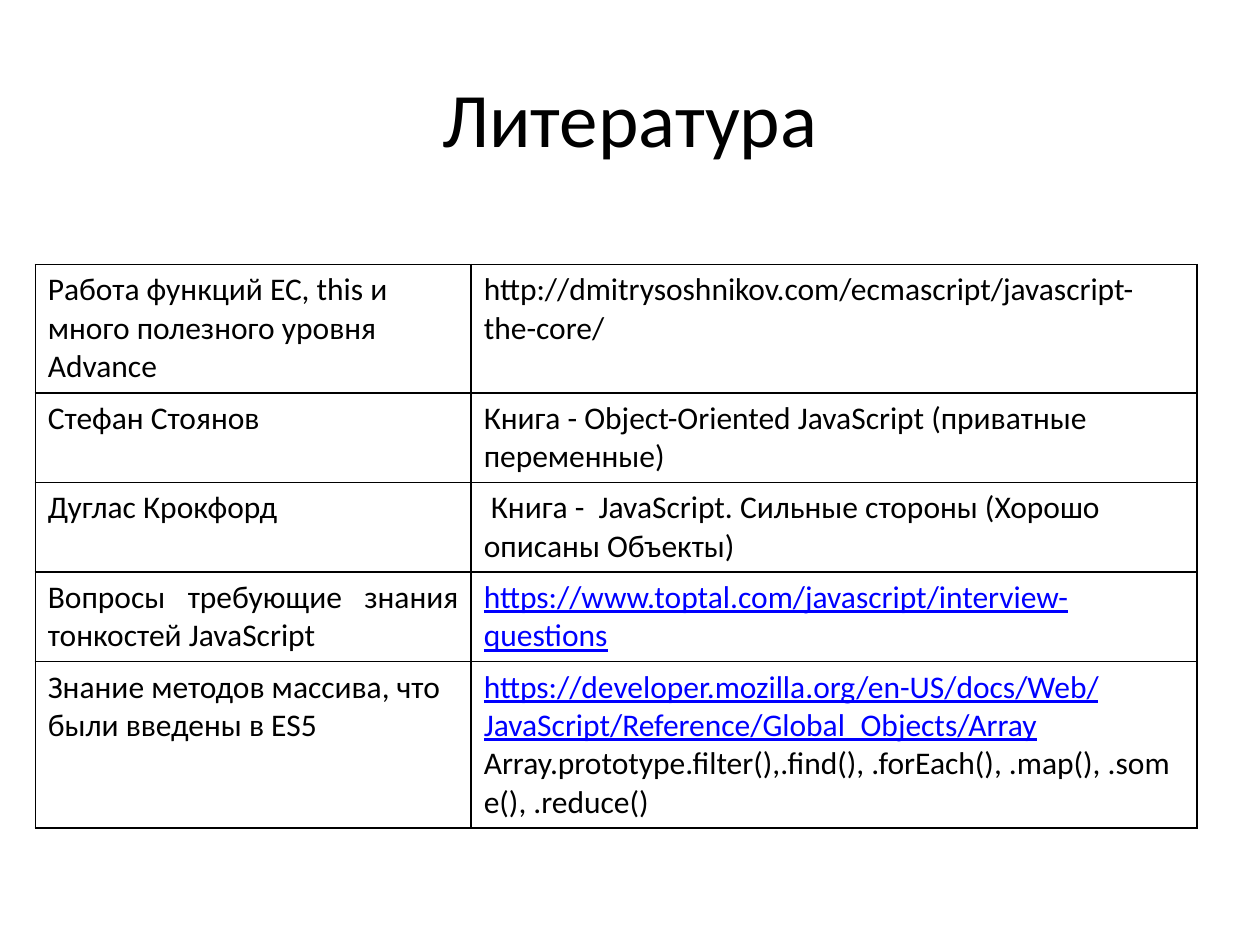
from lxml import etree
from pptx import Presentation
from pptx import util as u
from pptx.dml import color
from pptx.enum import text
from pptx.oxml import ns

FONT = "Calibri"
BLACK = "000000"
LINK = "0000FF"
COLUMNS = [3.46, 5.76]
ROWS = [1.02, 0.71, 0.71, 0.71, 1.32]
JUSTIFIED_TOPIC = "Вопросы требующие знания тонкостей JavaScript"
REFERENCES = [
    ("Работа функций EC, this и много полезного уровня Advance",
     ["http://dmitrysoshnikov.com/ecmascript/javascript-the-core/"]),
    ("Стефан Стоянов",
     ["Книга - Object-Oriented JavaScript (приватные переменные)"]),
    ("Дуглас Крокфорд",
     [" Книга -  JavaScript. Сильные стороны (Хорошо описаны Объекты)"]),
    (JUSTIFIED_TOPIC,
     ["https://www.toptal.com/javascript/interview-questions"]),
    ("Знание методов массива, что были введены в ES5",
     ["https://developer.mozilla.org/en-US/docs/Web/JavaScript/Reference/Global_Objects/Array",
      "Array.prototype.filter(),.find(), .forEach(), .map(), .some(), .reduce()"]),
]


def rgb(value):
    """Return the colour for a hex string."""
    return color.RGBColor.from_string(value)


def add_run(paragraph, content, size, hex_color=BLACK, underline=False):
    """Add one formatted run to a paragraph."""
    run = paragraph.add_run()
    run.text = content
    run.font.name = FONT
    run.font.size = u.Pt(size)
    run.font.color.rgb = rgb(hex_color)
    if underline:
        run.font.underline = True


def set_borders(cell, hex_color=BLACK, width=1):
    """Draw a solid line on each side of a cell."""
    properties = cell._tc.get_or_add_tcPr()
    for side in ("a:lnL", "a:lnR", "a:lnT", "a:lnB"):
        line = etree.SubElement(properties, ns.qn(side), w=str(u.Pt(width)))
        fill = etree.SubElement(line, ns.qn("a:solidFill"))
        etree.SubElement(fill, ns.qn("a:srgbClr"), val=hex_color)


def fill_cell(cell, lines):
    """Write the lines into a bordered cell, underlining secure links."""
    set_borders(cell)
    cell.fill.background()
    frame = cell.text_frame
    for index, line in enumerate(lines):
        paragraph = frame.add_paragraph() if index else frame.paragraphs[0]
        justified = line == JUSTIFIED_TOPIC
        paragraph.alignment = text.PP_ALIGN.JUSTIFY if justified else text.PP_ALIGN.LEFT
        is_link = line.startswith("https")
        add_run(paragraph, line, 18, LINK if is_link else BLACK, is_link)


def add_title(slide, content):
    """Place and fill the title placeholder."""
    title = slide.shapes.title
    title.left, title.top = u.Inches(0.5), u.Inches(0.3)
    title.width, title.height = u.Inches(9), u.Inches(1.25)
    title.text_frame.vertical_anchor = text.MSO_ANCHOR.MIDDLE
    paragraph = title.text_frame.paragraphs[0]
    paragraph.alignment = text.PP_ALIGN.CENTER
    add_run(paragraph, content, 44)


def add_references(slide):
    """Add the table of topics and their sources."""
    frame = slide.shapes.add_table(
        len(ROWS), len(COLUMNS), u.Inches(0.28), u.Inches(2.1),
        u.Inches(sum(COLUMNS)), u.Inches(sum(ROWS)))
    table = frame.table
    table.first_row = table.horz_banding = False
    for column, width in zip(table.columns, COLUMNS):
        column.width = u.Inches(width)
    for row, height, (topic, sources) in zip(table.rows, ROWS, REFERENCES):
        row.height = u.Inches(height)
        fill_cell(row.cells[0], [topic])
        fill_cell(row.cells[1], sources)


def main():
    """Build and save the presentation."""
    presentation = Presentation()
    presentation.slide_width = u.Inches(10)
    presentation.slide_height = u.Inches(7.5)
    slide = presentation.slides.add_slide(presentation.slide_layouts[5])
    add_title(slide, "Литература")
    add_references(slide)
    presentation.save("out.pptx")


if __name__ == "__main__":
    main()
